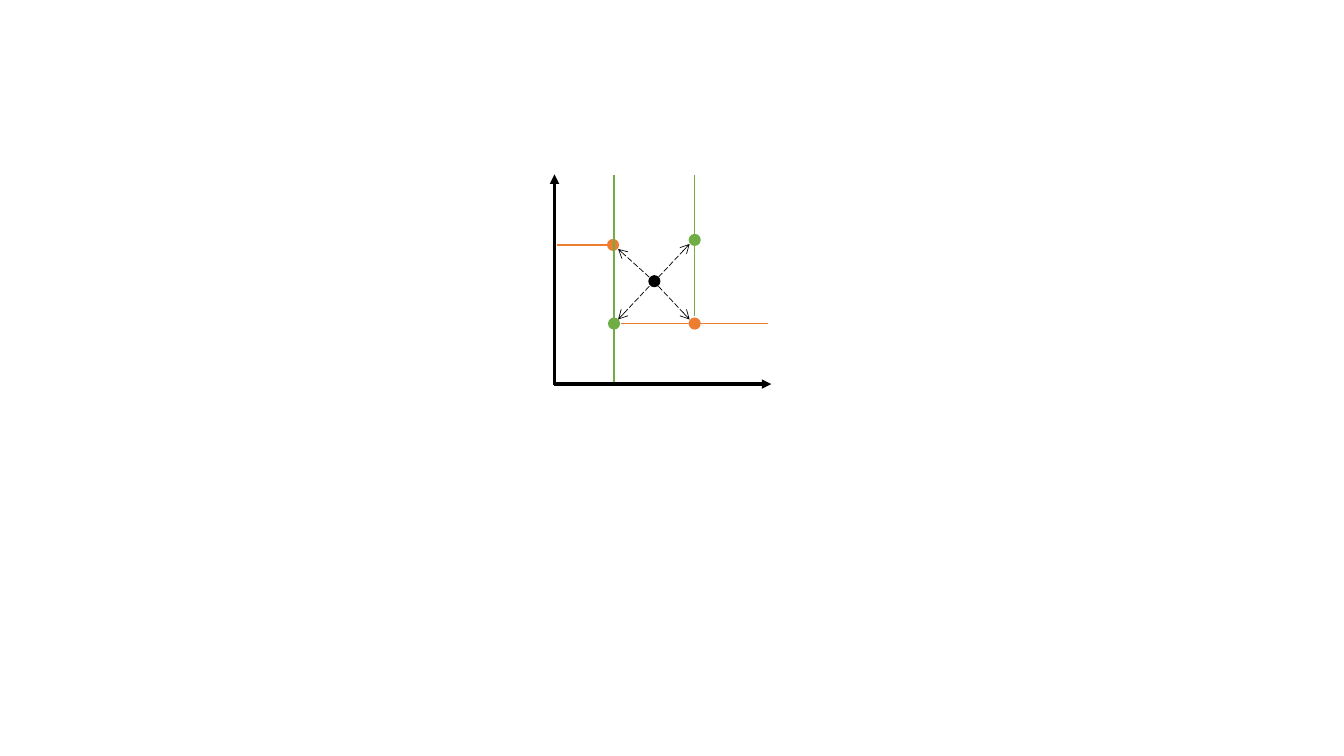
from pptx import Presentation
from pptx.dml.color import RGBColor
from pptx.enum.dml import MSO_LINE
from pptx.enum.shapes import MSO_CONNECTOR, MSO_SHAPE
from pptx.oxml.ns import qn
from pptx.util import Inches, Pt
from lxml.etree import SubElement

BLACK = RGBColor(0x00, 0x00, 0x00)
GREEN = RGBColor(0x70, 0xAD, 0x47)
ORANGE = RGBColor(0xED, 0x7D, 0x31)


class Diagram:
    """Draws dots and lines in one group on the current slide."""
    DOT = 0.12
    AXIS = {"width": Pt(2.25)}
    GUIDE = {"width": Pt(1)}
    MOVE = {"width": Pt(0.5), "dash_style": MSO_LINE.LONG_DASH}

    def __init__(self, prs):
        self.s = prs.slides.add_slide(prs.slide_layouts[6])
        self.shapes = self.s.shapes.add_group_shape().shapes

    def dot(self, left, top, color):
        sp = self.shapes.add_shape(MSO_SHAPE.OVAL, Inches(left), Inches(top),
                                   Inches(self.DOT), Inches(self.DOT))
        sp.shadow.inherit = False
        sp.fill.solid()
        sp.fill.fore_color.rgb = color
        sp.line.fill.background()

    def line(self, start, end, color, style, arrow=None):
        c = self.shapes.add_connector(MSO_CONNECTOR.STRAIGHT,
                                      *map(Inches, start + end))
        c.line.color.rgb = color
        for name, value in style.items():
            setattr(c.line, name, value)
        if arrow:
            SubElement(c.line._get_or_add_ln(), qn("a:tailEnd"), type=arrow)
        SubElement(c._element.spPr, qn("a:effectLst"))


def main():
    prs = Presentation()
    prs.slide_width, prs.slide_height = Inches(13.33), Inches(7.5)
    d = Diagram(prs)

    # Left guide and axes
    d.line((5.52, 2.43), (6.14, 2.43), ORANGE, d.GUIDE)
    d.line((5.49, 3.81), (7.65, 3.81), BLACK, d.AXIS, "triangle")
    d.line((5.5, 3.82), (5.5, 1.73), BLACK, d.AXIS, "triangle")

    # Corner dots
    for left, top, color in ((6.03, 3.15, GREEN), (6.83, 3.15, ORANGE),
                             (6.83, 2.32, GREEN), (6.02, 2.37, ORANGE)):
        d.dot(left, top, color)

    # Guides through the corners
    for start, end, color in (((6.09, 1.74), (6.09, 3.79), GREEN),
                              ((6.16, 3.21), (7.62, 3.21), ORANGE),
                              ((6.89, 1.74), (6.89, 3.14), GREEN)):
        d.line(start, end, color, d.GUIDE)

    # Centre dot and its dashed arrows to the corners
    d.dot(6.43, 2.73, BLACK)
    for start, end in (((6.53, 2.75), (6.84, 2.42)),
                       ((6.44, 2.84), (6.13, 3.17)),
                       ((6.53, 2.84), (6.84, 3.17)),
                       ((6.44, 2.75), (6.13, 2.47))):
        d.line(start, end, BLACK, d.MOVE, "arrow")

    prs.save("out.pptx")


if __name__ == "__main__":
    main()
